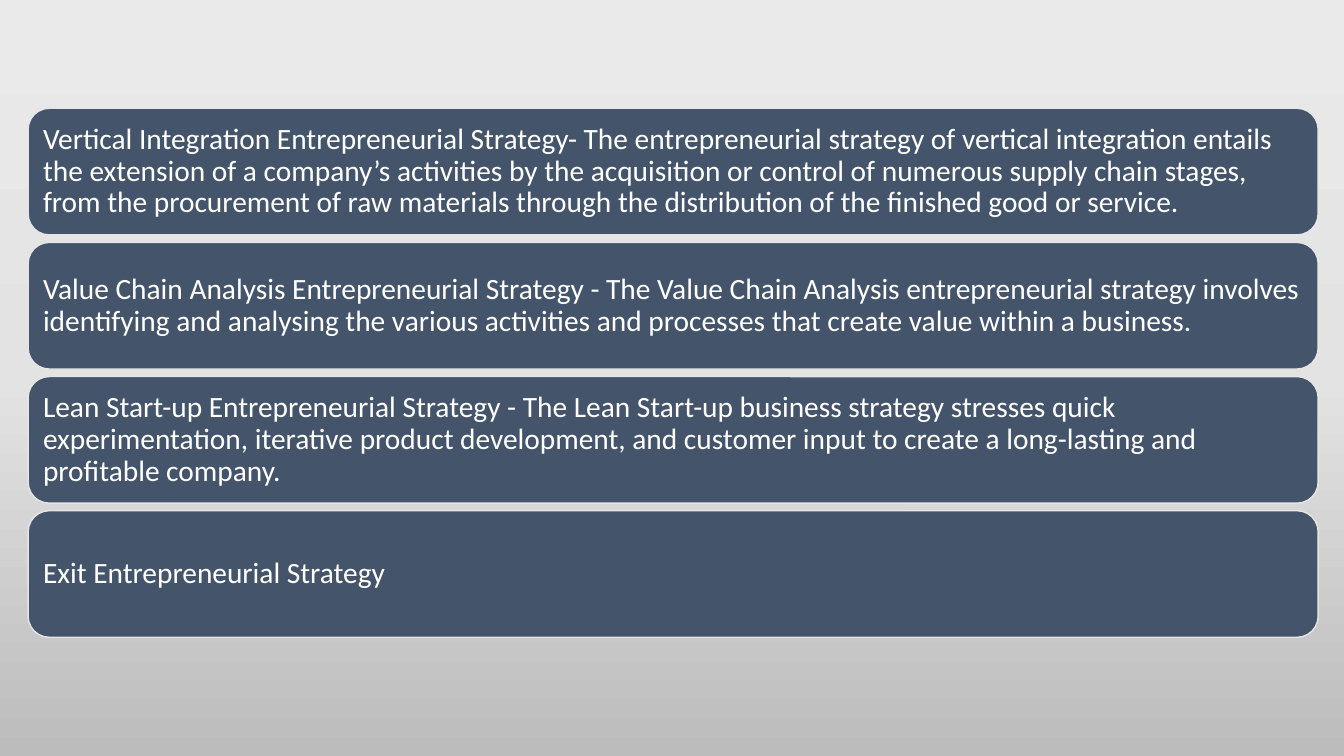
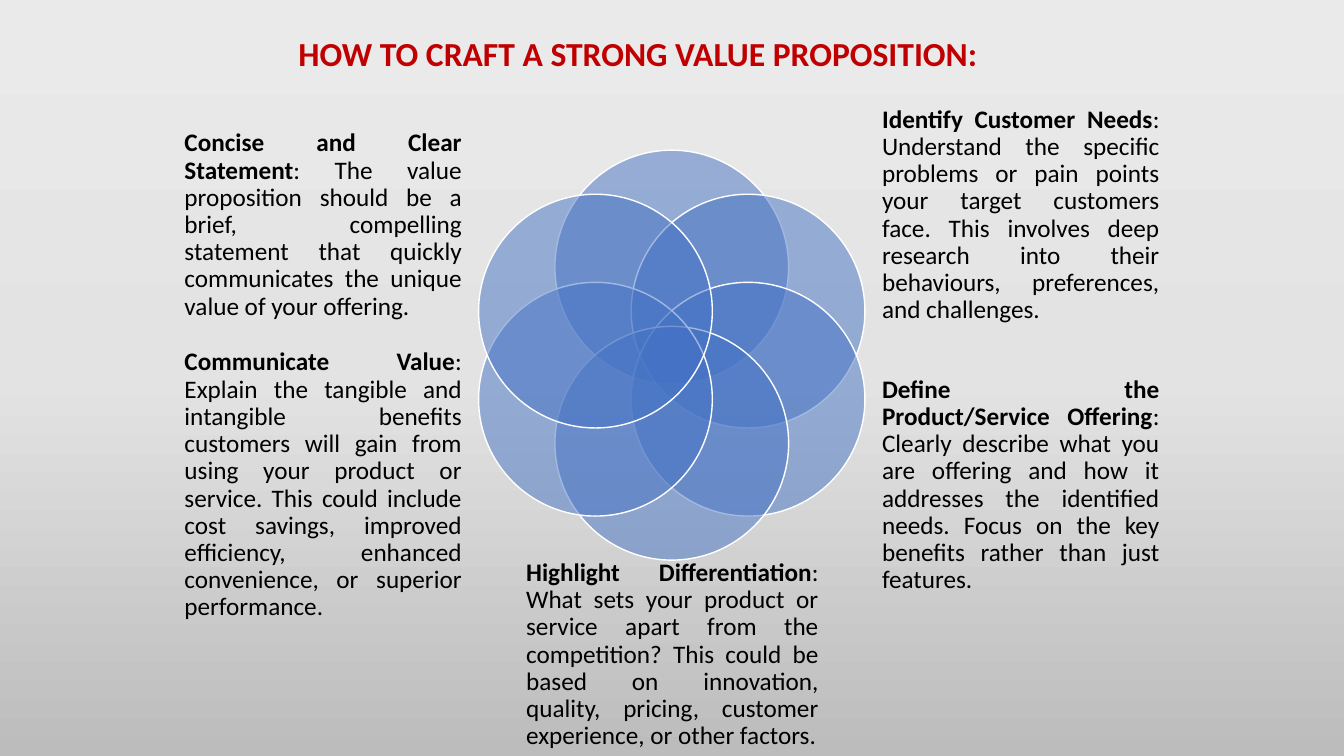
from dataclasses import dataclass
from math import cos, radians, sin

from lxml.etree import SubElement
from pptx import Presentation
from pptx.dml.color import RGBColor
from pptx.enum.shapes import MSO_SHAPE as Shape
from pptx.enum.text import MSO_ANCHOR as Anchor, MSO_AUTO_SIZE as AutoSize, PP_ALIGN as Align
from pptx.oxml.ns import qn
from pptx.util import Cm, Pt

FONT = "Calibri"
COLORS = {
    "bar": "44546A",
    "bar_line": "E7E6E6",
    "circle": "4472C4",
    "title": "C00000",
    "white": "FFFFFF",
    "black": "000000",
}
BACKGROUND = {0: "EBEAEA", 50: "E4E3E3", 100: "BDBCBC"}
TITLE_ONLY, BLANK = 5, 6

# Strategy bars, in cm
BAR_LEFT, BAR_TOP, BAR_WIDTH, BAR_HEIGHT, BAR_PITCH = 0.71, 2.73, 32.51, 3.19, 3.38
STRATEGIES = [
    "Vertical Integration Entrepreneurial Strategy- The entrepreneurial strategy of "
    "vertical integration entails the extension of a company’s activities by the "
    "acquisition or control of numerous supply chain stages, from the procurement of "
    "raw materials through the distribution of the finished good or service.",
    "Value Chain Analysis Entrepreneurial Strategy - The Value Chain Analysis "
    "entrepreneurial strategy involves identifying and analysing the various activities "
    "and processes that create value within a business.",
    "Lean Start-up Entrepreneurial Strategy - The Lean Start-up business strategy "
    "stresses quick experimentation, iterative product development, and customer input "
    "to create a long-lasting and profitable company.",
    "Exit Entrepreneurial Strategy",
]

# Ring of circles, in cm
CENTER_X, CENTER_Y, RING_RADIUS, DIAMETER, CIRCLES = 16.93, 8.95, 2.22, 5.89, 6


@dataclass(frozen=True)
class Box:
    left: float
    top: float
    width: float
    height: float

    def lengths(self) -> tuple:
        return Cm(self.left), Cm(self.top), Cm(self.width), Cm(self.height)


@dataclass(frozen=True)
class Step:
    heading: str
    detail: str
    box: Box


LEFT_X, RIGHT_X, UPPER_Y, LOWER_Y, STEP_WIDTH, STEP_HEIGHT = 4.65, 22.23, 3.23, 9.78, 6.99, 4.9
STEPS = [
    Step(
        "Identify Customer Needs",
        ": Understand the specific problems or pain points your target customers face. "
        "This involves deep research into their behaviours, preferences, and challenges.",
        Box(RIGHT_X, UPPER_Y, STEP_WIDTH, 4.39),
    ),
    Step(
        "Define the Product/Service Offering",
        ": Clearly describe what you are offering and how it addresses the identified "
        "needs. Focus on the key benefits rather than just features.",
        Box(RIGHT_X, LOWER_Y, STEP_WIDTH, STEP_HEIGHT),
    ),
    Step(
        "Highlight Differentiation",
        ": What sets your product or service apart from the competition? This could be "
        "based on innovation, quality, pricing, customer experience, or other factors.",
        Box(13.26, 14.5, 7.37, 4.01),
    ),
    Step(
        "Communicate Value",
        ": Explain the tangible and intangible benefits customers will gain from using "
        "your product or service. This could include cost savings, improved efficiency, "
        "enhanced convenience, or superior performance.",
        Box(LEFT_X, LOWER_Y, STEP_WIDTH, STEP_HEIGHT),
    ),
    Step(
        "Concise and Clear Statement",
        ": The value proposition should be a brief, compelling statement that quickly "
        "communicates the unique value of your offering.",
        Box(LEFT_X, UPPER_Y, STEP_WIDTH, STEP_HEIGHT),
    ),
]


def rgb(name: str) -> RGBColor:
    return RGBColor.from_string(COLORS[name])


def set_background(master) -> None:
    """Give every slide the same vertical gradient."""
    fill = master.background.fill
    fill.gradient()
    fill.gradient_angle = 270
    stops = master.element.find(".//" + qn("a:gsLst"))
    for stop in list(stops):
        stops.remove(stop)
    for percent, color in BACKGROUND.items():
        stop = SubElement(stops, qn("a:gs"), pos=str(percent * 1000))
        SubElement(stop, qn("a:srgbClr"), val=color)


def format_text(tf, size: int, color: str, align: Align, inset: float = 0) -> None:
    """Apply the text style shared by all objects."""
    tf.word_wrap = True
    tf.auto_size = AutoSize.NONE
    tf.vertical_anchor = Anchor.MIDDLE
    tf.margin_left = tf.margin_top = tf.margin_right = tf.margin_bottom = Cm(inset)
    for p in tf.paragraphs:
        p.alignment = align
        p.line_spacing = 0.9
        for r in p.runs:
            r.font.name = FONT
            r.font.size = Pt(size)
            r.font.color.rgb = rgb(color)


def add_filled(slide, kind: Shape, box: Box, fill: str, line: str):
    sp = slide.shapes.add_shape(kind, *box.lengths())
    sp.shadow.inherit = False
    sp.fill.solid()
    sp.fill.fore_color.rgb = rgb(fill)
    sp.line.color.rgb = rgb(line)
    sp.line.width = Pt(1)
    return sp


def add_bar(slide, row: int, text: str) -> None:
    box = Box(BAR_LEFT, BAR_TOP + row * BAR_PITCH, BAR_WIDTH, BAR_HEIGHT)
    sp = add_filled(slide, Shape.ROUNDED_RECTANGLE, box, "bar", "bar_line")
    sp.text_frame.text = text
    format_text(sp.text_frame, 21, "white", Align.LEFT, inset=0.22)


def add_circle(slide, index: int) -> None:
    """Place a half-transparent circle on the ring, clockwise from the top."""
    angle = radians(index * 360 / CIRCLES)
    left = CENTER_X + RING_RADIUS * sin(angle) - DIAMETER / 2
    top = CENTER_Y - RING_RADIUS * cos(angle) - DIAMETER / 2
    sp = add_filled(slide, Shape.OVAL, Box(left, top, DIAMETER, DIAMETER), "circle", "white")
    color = sp.fill._xPr.find(qn("a:solidFill")).find(qn("a:srgbClr"))
    SubElement(color, qn("a:alpha"), val="50000")


def add_step(slide, step: Step) -> None:
    tf = slide.shapes.add_textbox(*step.box.lengths()).text_frame
    p = tf.paragraphs[0]
    p.text = step.heading
    p.runs[0].font.bold = True
    p.add_run().text = step.detail
    format_text(tf, 18, "black", Align.JUSTIFY)


def set_title(slide, text: str, box: Box) -> None:
    title = slide.shapes.title
    title.left, title.top, title.width, title.height = box.lengths()
    title.text_frame.text = text
    title.text_frame.paragraphs[0].runs[0].font.bold = True
    format_text(title.text_frame, 24, "title", Align.JUSTIFY)


def main() -> None:
    prs = Presentation()
    prs.slide_width, prs.slide_height = Cm(33.87), Cm(19.05)
    set_background(prs.slide_master)

    # Entrepreneurial strategies
    slide = prs.slides.add_slide(prs.slide_layouts[BLANK])
    for row, text in enumerate(STRATEGIES):
        add_bar(slide, row, text)

    # Value proposition
    slide = prs.slides.add_slide(prs.slide_layouts[TITLE_ONLY])
    set_title(slide, "HOW TO CRAFT A STRONG VALUE PROPOSITION:", Box(7.52, 0.46, 24, 1.88))
    for index in range(CIRCLES):
        add_circle(slide, index)
    for step in STEPS:
        add_step(slide, step)

    prs.save("out.pptx")


if __name__ == "__main__":
    main()
